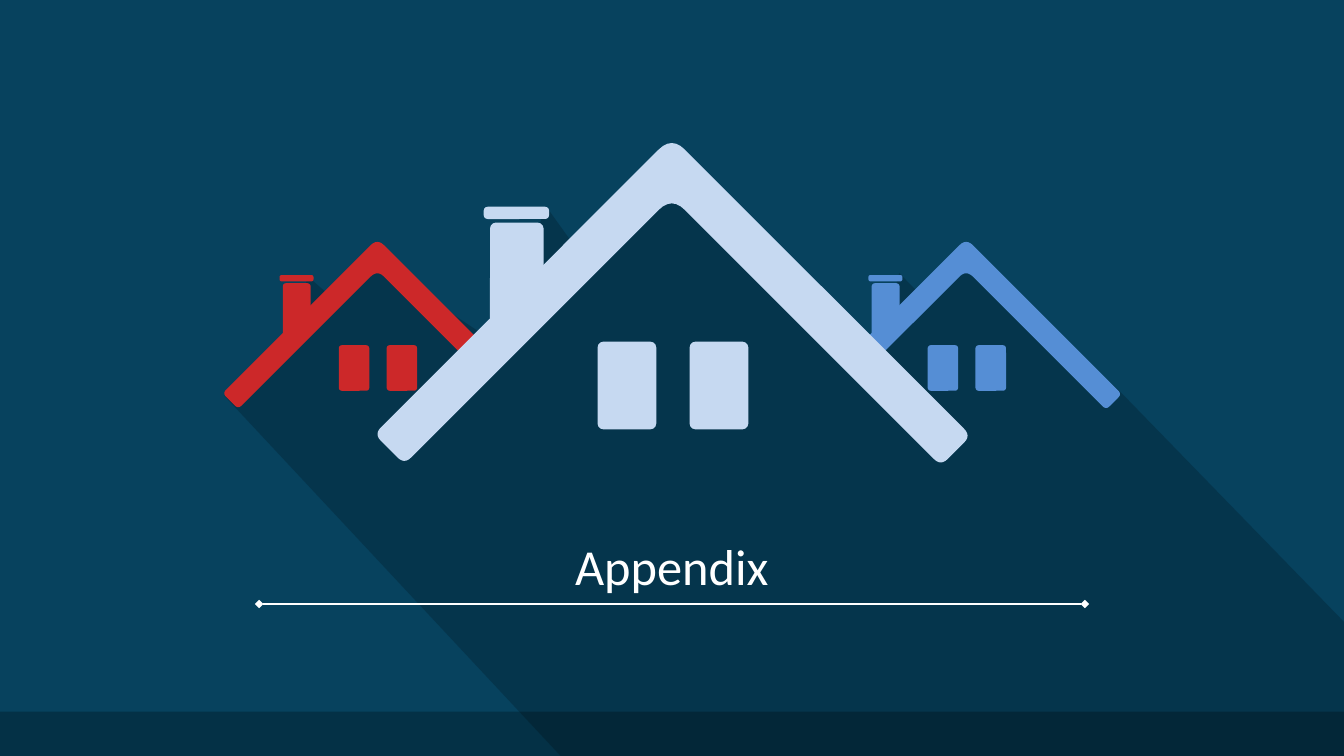
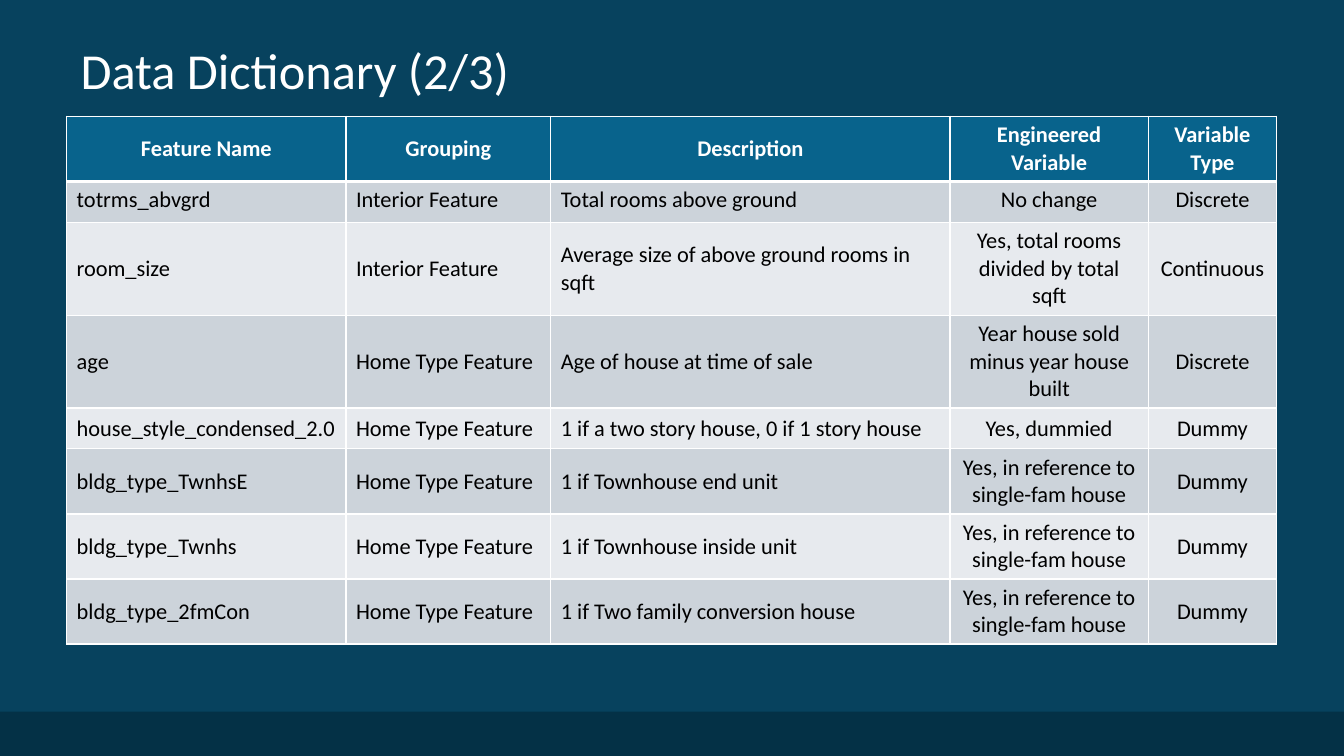
from lxml import etree
from pptx import Presentation
from pptx.dml.color import RGBColor
from pptx.enum import shapes, text
from pptx.oxml import ns
from pptx.util import Cm, Pt

WIDTH, HEIGHT = 33.87, 19.05
FONT = "Calibri"
WHITE, BLACK = "FFFFFF", "000000"
BACKGROUND, BAND = "07425E", "043146"
PALE, RED, BLUE = "C6D9F1", "CC2829", "558ED5"
HEADER, ROW_FILLS = "08638C", ("CCD3DA", "E7EAEE")
ROW_HEIGHTS = {1: 1.03, 2: 1.64, 3: 2.34}  # by lines of text


def color(value):
    return RGBColor.from_string(value)


def add_xml(parent, tag, **attributes):
    return etree.SubElement(parent, ns.qn(tag), attributes)


def rounded(corners):
    """Outline of a polygon whose corners (x, y, cut) run along 45 degree sides."""
    outline = []
    for index, (x, y, cut) in enumerate(corners):
        ends = []
        for other in (corners[index - 1], corners[(index + 1) % len(corners)]):
            dx, dy = other[0] - x, other[1] - y
            ends.append((x + cut * dx / abs(dx), y + cut * dy / abs(dy)))
        (ax, ay), (bx, by) = ends
        for step in range(7):
            t = step / 6
            a, m, b = (1 - t) ** 2, 2 * t * (1 - t), t ** 2
            outline.append((a * ax + m * x + b * bx, a * ay + m * y + b * by))
    return outline


class Deck:
    """Style of the deck and the slide being drawn; lengths are in centimetres."""

    def __init__(self):
        self.deck = Presentation()
        self.deck.slide_width, self.deck.slide_height = Cm(WIDTH), Cm(HEIGHT)
        self.page = None

    def new_page(self):
        self.page = self.deck.slides.add_slide(self.deck.slide_layouts[6])
        fill = self.page.background.fill
        fill.solid()
        fill.fore_color.rgb = color(BACKGROUND)
        self.block(0, 17.93, WIDTH, 1.12, BAND)

    def paint(self, shape, fill):
        shape.shadow.inherit = False
        shape.fill.solid()
        shape.fill.fore_color.rgb = color(fill)
        shape.line.fill.background()

    def block(self, left, top, width, height, fill, radius=0):
        kind = shapes.MSO_SHAPE.ROUNDED_RECTANGLE if radius else shapes.MSO_SHAPE.RECTANGLE
        shape = self.page.shapes.add_shape(kind, Cm(left), Cm(top), Cm(width), Cm(height))
        if radius:
            shape.adjustments[0] = min(radius / min(width, height), 0.33)
        self.paint(shape, fill)

    def outline(self, points, fill, opacity=None):
        points = [(Cm(x), Cm(y)) for x, y in points]
        builder = self.page.shapes.build_freeform(*points[0])
        builder.add_line_segments(points[1:], close=True)
        shape = builder.convert_to_shape()
        self.paint(shape, fill)
        if opacity is not None:
            tint = shape.element.spPr.find(".//" + ns.qn("a:srgbClr"))
            add_xml(tint, "a:alpha", val=str(opacity * 1000))

    def house(self, x, y, fill, scale=1.0, left=7.5, right=7.54):
        """House with its roof tip at x, y; left and right are the roof arms."""
        for dx, dy, width, height in (
            (-4.74, 1.77, 1.65, 0.31),  # chimney cap
            (-4.58, 2.17, 1.35, 2.55),  # chimney
            (-1.87, 5.17, 1.48, 2.21),  # windows
            (0.45, 5.17, 1.48, 2.21),
        ):
            self.block(x + dx * scale, y + dy * scale, width * scale,
                       height * scale, fill, 0.15 * scale)
        thick, tip, end = 1.52, 0.33, 0.17
        half = thick / 2
        roof = rounded([
            (0, 0, tip), (right, right, end), (right - half, right + half, end),
            (0, thick, tip), (half - left, left + half, end), (-left, left, end),
        ])
        self.outline([(x + dx * scale, y + dy * scale) for dx, dy in roof], fill)

    def style(self, para, size, ink, bold=False, centered=False):
        font = para.font
        font.name, font.size, font.bold = FONT, Pt(size), bold
        font.color.rgb = color(ink)
        para.alignment = text.PP_ALIGN.CENTER if centered else text.PP_ALIGN.LEFT

    def title(self, left, top, width, height, words, centered=False):
        box = self.page.shapes.add_textbox(Cm(left), Cm(top), Cm(width), Cm(height))
        frame = box.text_frame
        frame.word_wrap = True
        frame.vertical_anchor = text.MSO_ANCHOR.MIDDLE
        frame.margin_left = frame.margin_right = Cm(0.33)
        frame.margin_top = frame.margin_bottom = Cm(0.18)
        para = frame.paragraphs[0]
        para.text = words
        self.style(para, 36, WHITE, centered=centered)

    def diamond_rule(self, left, right, y):
        rule = self.page.shapes.add_connector(
            shapes.MSO_CONNECTOR.STRAIGHT, Cm(left), Cm(y), Cm(right), Cm(y))
        rule.line.color.rgb = color(WHITE)
        rule.line.width = Pt(1.5)
        line = rule.element.spPr.find(ns.qn("a:ln"))
        for tag in ("a:headEnd", "a:tailEnd"):
            add_xml(line, tag, type="diamond")
        add_xml(rule.element.spPr, "a:effectLst")

    def cell(self, cell, words, fill, ink, bold, centered, top_line, bottom_line):
        props = cell._tc.get_or_add_tcPr()
        for side, points in (("L", 1), ("R", 1), ("T", top_line), ("B", bottom_line)):
            line = add_xml(props, "a:ln" + side, w=str(Pt(points)))
            add_xml(add_xml(line, "a:solidFill"), "a:srgbClr", val=WHITE)
        cell.fill.solid()
        cell.fill.fore_color.rgb = color(fill)
        cell.vertical_anchor = text.MSO_ANCHOR.MIDDLE
        para = cell.text_frame.paragraphs[0]
        para.text = words
        self.style(para, 16, ink, bold, centered)

    def table(self, left, top, widths, line_counts, rows, centered_from):
        """Banded table; columns from centered_from on are centred."""
        heights = [ROW_HEIGHTS[count] for count in line_counts]
        frame = self.page.shapes.add_table(
            len(rows), len(widths), Cm(left), Cm(top),
            Cm(sum(widths)), Cm(sum(heights)))
        table = frame.table
        for column, width in zip(table.columns, widths):
            column.width = Cm(width)
        for r, row in enumerate(rows):
            table.rows[r].height = Cm(heights[r])
            head = r == 0
            for c, words in enumerate(row):
                self.cell(
                    table.cell(r, c), words,
                    fill=HEADER if head else ROW_FILLS[(r - 1) % 2],
                    ink=WHITE if head else BLACK, bold=head,
                    centered=head or c >= centered_from,
                    top_line=3 if r == 1 else 1, bottom_line=3 if head else 1)
        return table


LONG_SHADOW = [
    (5.64, 9.96), (14.13, 19.05), (33.87, 19.05), (33.87, 15.67), (28.22, 9.86),
    (24.46, 6.38), (23.16, 7.39), (22.66, 6.88), (22.2, 8.71), (16.92, 4.5),
    (14.68, 6.48), (13.77, 5.21), (12.42, 8.59), (9.5, 6.65), (8.36, 7.49),
    (7.75, 6.96), (7.49, 8.28), (5.74, 10.03),
]
INTERIOR, HOME = "Interior Feature", "Home Type Feature"
SINGLE_FAMILY = "Yes, in reference to single-fam house"
FEATURES = [
    ("Feature Name", "Grouping", "Description", "Engineered Variable", "Variable Type"),
    ("totrms_abvgrd", INTERIOR, "Total rooms above ground", "No change", "Discrete"),
    ("room_size", INTERIOR, "Average size of above ground rooms in sqft",
     "Yes, total rooms divided by total sqft", "Continuous"),
    ("age", HOME, "Age of house at time of sale",
     "Year house sold minus year house built", "Discrete"),
    ("house_style_condensed_2.0", HOME, "1 if a two story house, 0 if 1 story house",
     "Yes, dummied", "Dummy"),
    ("bldg_type_TwnhsE", HOME, "1 if Townhouse end unit", SINGLE_FAMILY, "Dummy"),
    ("bldg_type_Twnhs", HOME, "1 if Townhouse inside unit", SINGLE_FAMILY, "Dummy"),
    ("bldg_type_2fmCon", HOME, "1 if Two family conversion house", SINGLE_FAMILY, "Dummy"),
]


def main():
    deck = Deck()

    # Section page: three houses with a long shadow
    deck.new_page()
    deck.outline(LONG_SHADOW, BLACK, opacity=19)
    deck.house(24.35, 6.01, BLUE, scale=0.52, left=5.85)
    deck.house(9.51, 6.01, RED, scale=0.52, right=5.85)
    deck.house(16.93, 3.44, PALE)
    deck.title(11.93, 13.34, 10, 1.8, "Appendix", centered=True)
    deck.diamond_rule(6.53, 27.34, 15.22)

    # Data dictionary
    deck.new_page()
    deck.title(1.7, 0.76, 30.48, 1.98, "Data Dictionary (2/3)")
    table = deck.table(1.68, 2.93, [7.04, 5.16, 10.06, 5.0, 3.23],
                       [2, 1, 3, 3, 1, 2, 2, 2], FEATURES, centered_from=3)
    for cell in table.rows[1].cells:
        cell.vertical_anchor = text.MSO_ANCHOR.TOP

    deck.deck.save("out.pptx")


if __name__ == "__main__":
    main()
